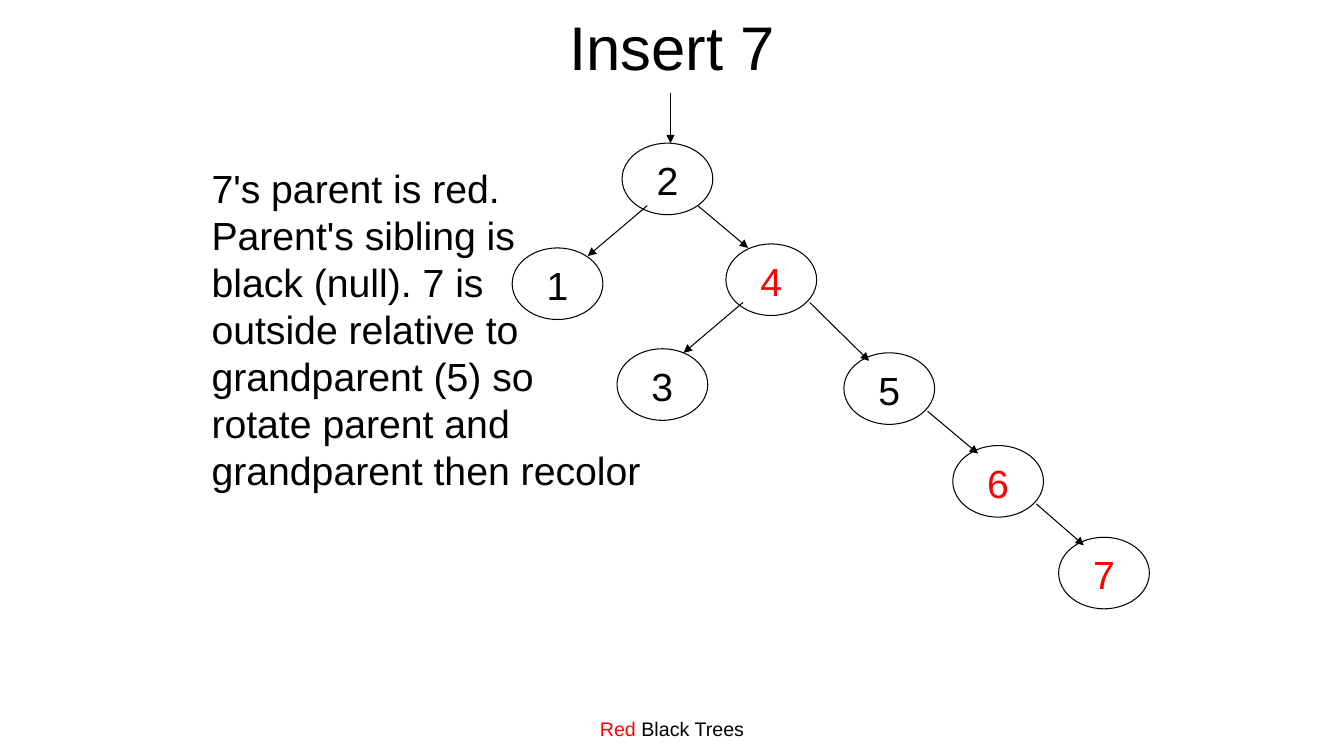
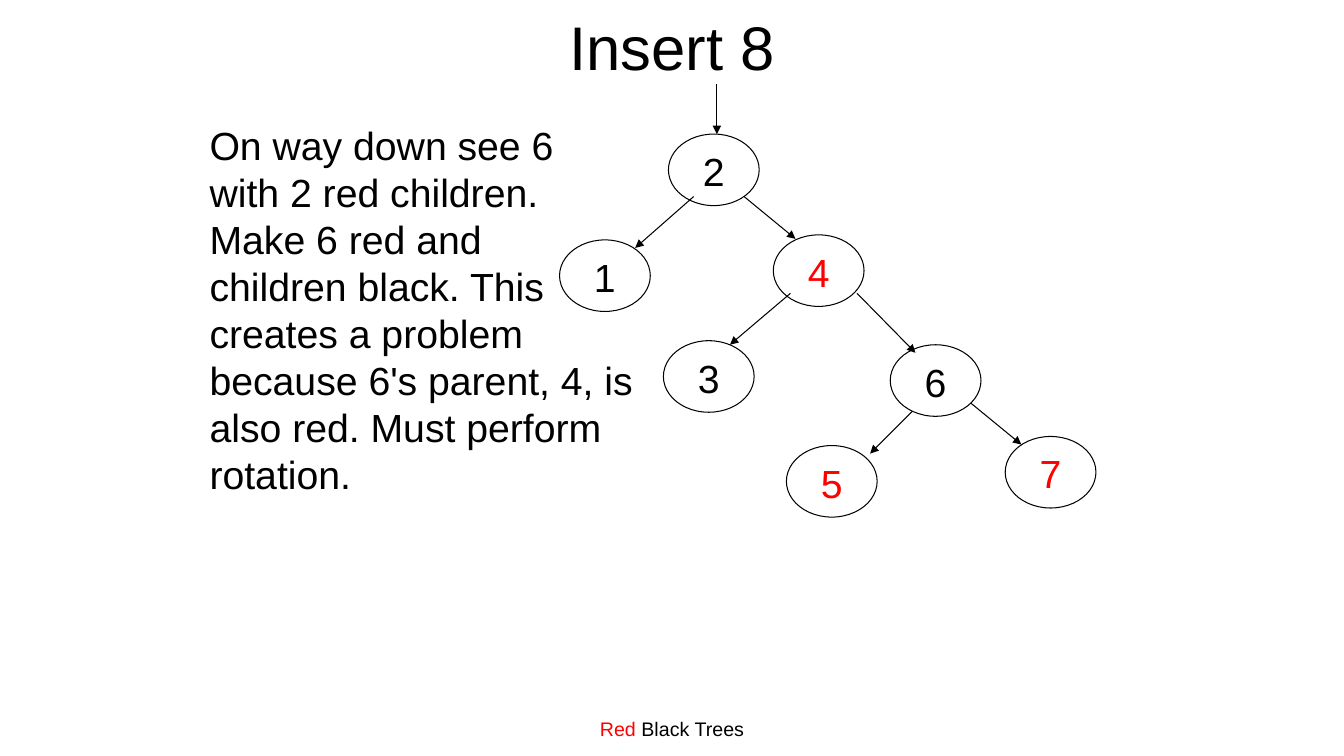
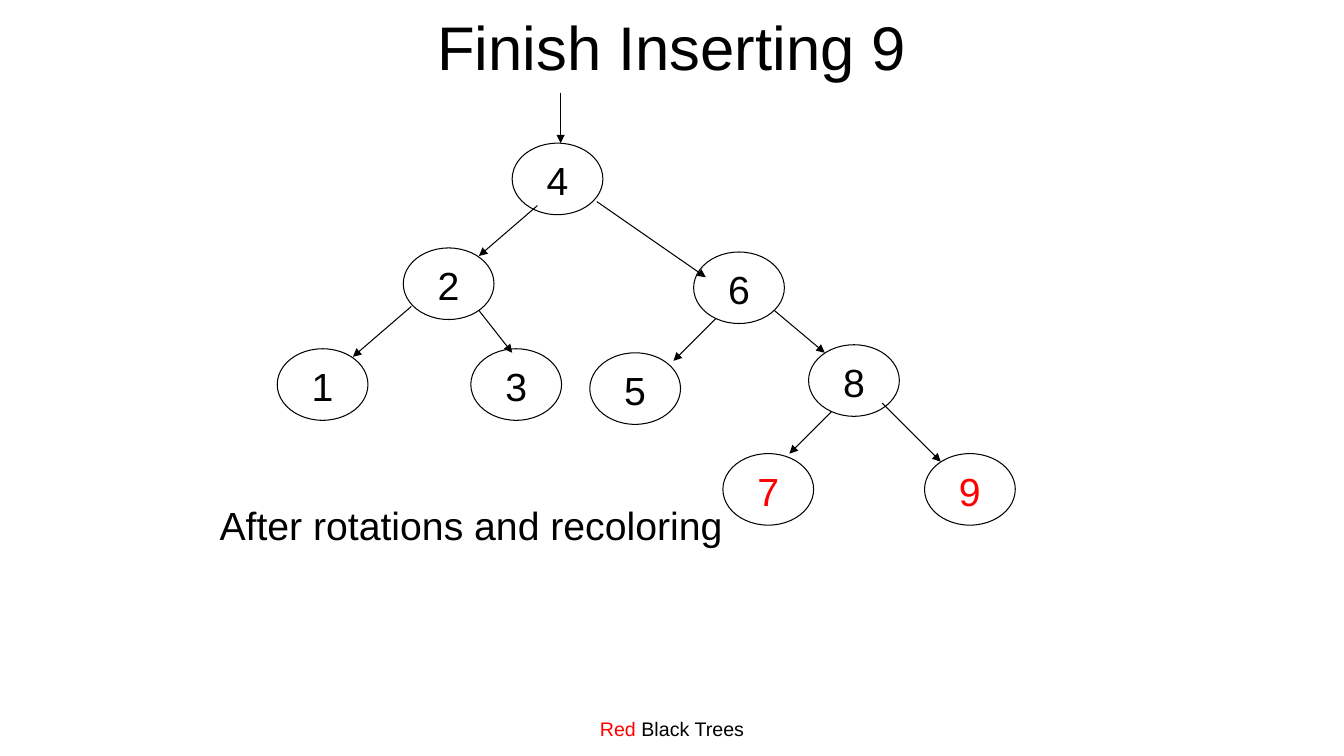
from dataclasses import dataclass

from lxml import etree
from pptx import Presentation
from pptx.dml.color import RGBColor
from pptx.enum import shapes, text
from pptx.oxml import ns
from pptx.util import Inches, Pt


@dataclass(frozen=True)
class Theme:
    font: str = "Arial"
    ink: RGBColor = RGBColor(0, 0, 0)
    red: RGBColor = RGBColor(255, 0, 0)
    head: int = 44
    body: int = 28
    foot: int = 14
    line: float = 0.75
    wide: float = 0.9
    high: float = 0.71


class Deck:
    def __init__(self, theme):
        self.theme = theme
        self.prs = Presentation()
        self.prs.slide_width = Inches(13.33)
        self.prs.slide_height = Inches(7.5)
        self.slide = None

    def page(self, title):
        self.slide = self.prs.slides.add_slide(self.prs.slide_layouts[6])
        self.foot()
        frame = self.box(1, -0.17, 11.33, 1.25)
        frame.vertical_anchor = text.MSO_ANCHOR.MIDDLE
        self.run(self.center(frame), title, self.theme.head)

    def foot(self):
        frame = self.box(4.11, 6.83, 5.11, 0.5)
        frame.margin_top = Inches(0.28)
        para = self.center(frame)
        self.run(para, "Red", self.theme.foot, self.theme.red)
        self.run(para, " Black Trees", self.theme.foot)

    def box(self, x, y, w, h):
        shape = self.slide.shapes.add_textbox(*map(Inches, (x, y, w, h)))
        shape.text_frame.word_wrap = True
        return shape.text_frame

    def center(self, frame):
        para = frame.paragraphs[0]
        para.alignment = text.PP_ALIGN.CENTER
        return para

    def run(self, para, words, size, color=None):
        run = para.add_run()
        run.text = words
        run.font.name = self.theme.font
        run.font.size = Pt(size)
        run.font.color.rgb = color or self.theme.ink

    def note(self, x, y, w, h, *lines):
        frame = self.box(x, y, w, h)
        frame.word_wrap = False
        para = frame.paragraphs[0]
        for i, words in enumerate(lines):
            if i:
                para.add_line_break()
            self.run(para, words, self.theme.body)

    def node(self, key, x, y, color):
        t = self.theme
        oval = self.slide.shapes.add_shape(
            shapes.MSO_SHAPE.OVAL, *map(Inches, (x, y, t.wide, t.high)))
        oval.shadow.inherit = False
        oval.fill.background()
        oval.line.color.rgb = t.ink
        oval.line.width = Pt(t.line)
        frame = oval.text_frame
        frame.word_wrap = False
        frame.vertical_anchor = text.MSO_ANCHOR.MIDDLE
        frame.margin_left = frame.margin_right = frame.margin_bottom = 0
        frame.margin_top = Inches(0.02)
        self.run(self.center(frame), str(key), t.body, color)

    def arrow(self, start, end):
        line = self.slide.shapes.add_connector(
            shapes.MSO_CONNECTOR.STRAIGHT, *map(Inches, (*start, *end)))
        line.line.color.rgb = self.theme.ink
        line.line.width = Pt(self.theme.line)
        pen = line.line._get_or_add_ln()
        etree.SubElement(pen, ns.qn("a:tailEnd"), type="triangle")
        etree.SubElement(line._element.spPr, ns.qn("a:effectLst"))

    def tree(self, nodes, reds, edges):
        """Draw nodes {key: corner}, root first; edges hold offsets from corners."""
        root, top = next(iter(nodes.values()))
        self.arrow((root + 0.48, top - 0.5), (root + 0.48, top))
        for key, (x, y) in nodes.items():
            self.node(key, x, y, self.theme.red if key in reds else None)
        for (up, down), (start, end) in edges.items():
            self.arrow(shift(nodes[up], start), shift(nodes[down], end))


def shift(spot, step):
    return spot[0] + step[0], spot[1] + step[1]


# Arrow offsets: from the parent's corner, to the child's corner
LEFT = (0.25, 0.62), (0.75, 0.08)
RIGHT = (0.75, 0.62), (0.22, 0.04)
INNER = (0.17, 0.58), (0.66, 0.04)
OUTER = (0.83, 0.58), (0.25, 0.08)
STEEP = (0.22, 0.66), (0.83, 0.08)
SLANT = (0.8, 0.58), (0.16, 0.08)
UPPER = {(2, 1): LEFT, (2, 4): RIGHT, (4, 3): INNER}


def main():
    deck = Deck(Theme())

    deck.page("Insert 7")
    deck.tree(
        {2: (6.17, 1.42), 1: (5.08, 2.46), 4: (7.2, 2.42), 3: (6.12, 3.46),
         5: (8.37, 3.5), 6: (9.45, 4.42), 7: (10.5, 5.33)},
        {4, 6, 7},
        {**UPPER, (4, 5): OUTER, (5, 6): OUTER, (6, 7): OUTER})
    deck.note(2, 1.58, 4.47, 3.37,
              "7's parent is red.", "Parent's sibling is", "black (null). 7 is",
              "outside relative to", "grandparent (5) so", "rotate parent and",
              "grandparent then recolor")

    deck.page("Insert 8")
    deck.tree(
        {2: (6.63, 1.33), 1: (5.55, 2.38), 4: (7.67, 2.33), 3: (6.58, 3.38),
         6: (8.83, 3.42), 5: (7.8, 4.42), 7: (9.97, 4.33)},
        {4, 5, 7},
        {**UPPER, (4, 6): OUTER, (6, 5): STEEP, (6, 7): SLANT})
    deck.note(1.98, 1.15, 4.41, 3.84,
              "On way down see 6", "with 2 red children.", "Make 6 red and",
              "children black. This", "creates a problem",
              "because 6's parent, 4, is", "also red. Must perform",
              "rotation.")

    deck.page("Finish Inserting 9")
    deck.tree(
        {4: (5.08, 1.42), 2: (4, 2.46), 3: (4.67, 3.46), 6: (6.88, 2.5),
         5: (5.85, 3.5), 8: (8.02, 3.42), 1: (2.75, 3.46), 7: (7.17, 4.5),
         9: (9.17, 4.5)},
        {7, 9},
        {(4, 2): LEFT,
         (4, 6): ((0.84, 0.58), (0.12, 0.25)),
         (2, 1): ((0.08, 0.58), (0.75, 0.08)),
         (2, 3): ((0.75, 0.62), (0.41, 0.04)),
         (6, 5): STEEP,
         (6, 8): SLANT,
         (8, 7): ((0.23, 0.66), (0.66, 0)),
         (8, 9): ((0.73, 0.58), (0.16, 0.08))})
    deck.note(2.08, 4.92, 5.2, 0.57, "After rotations and recoloring")

    deck.prs.save("out.pptx")


if __name__ == "__main__":
    main()
